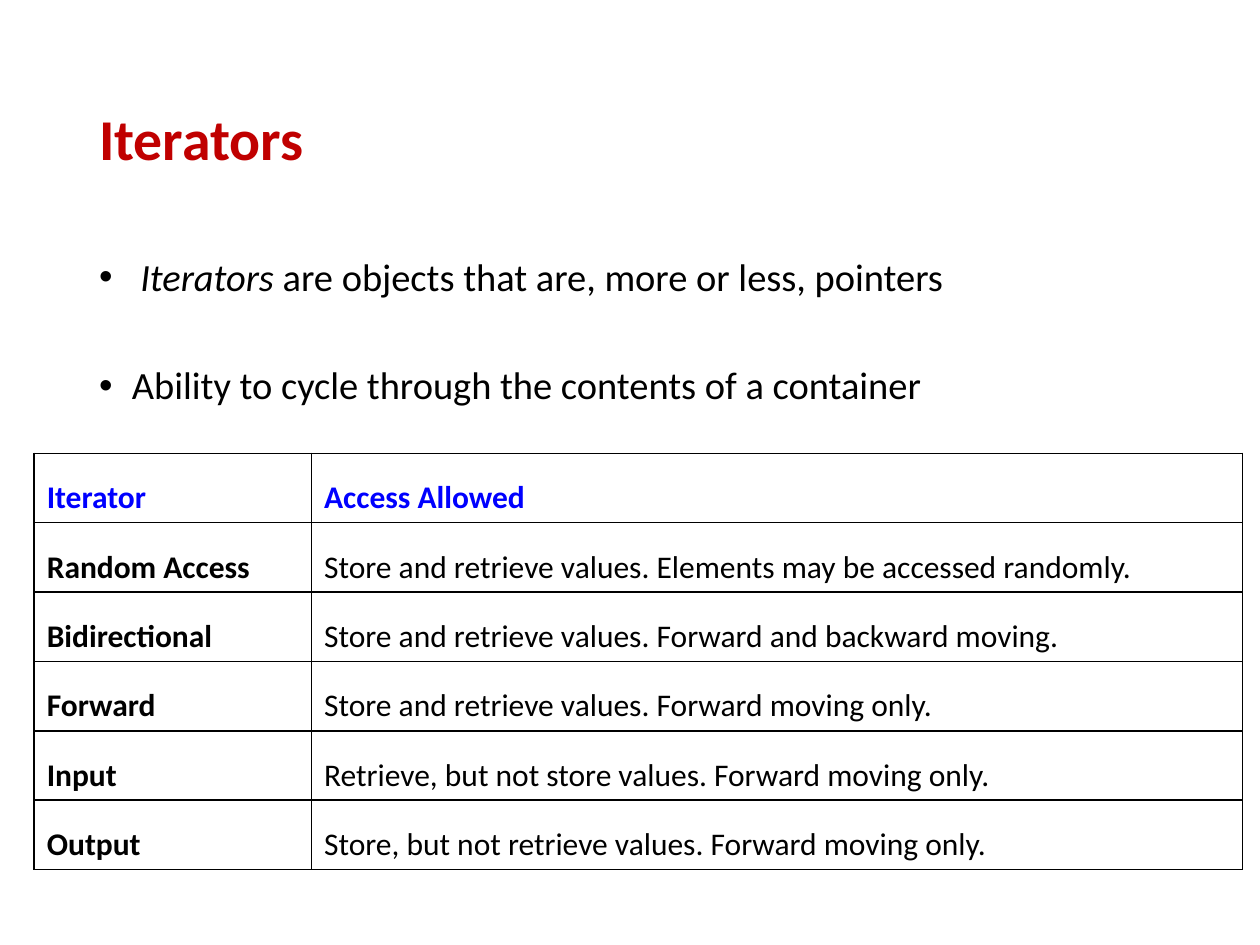
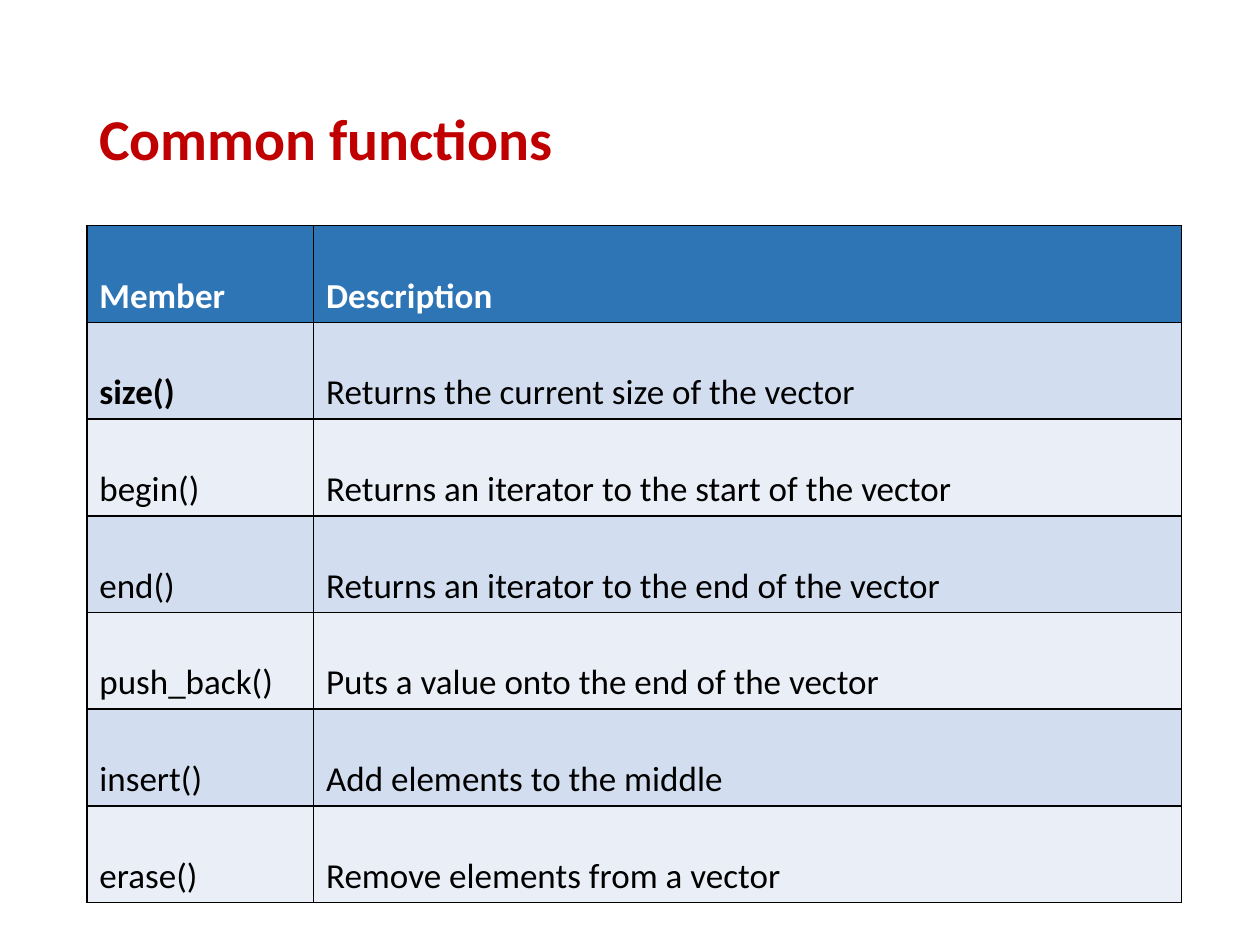
"""Build two slides on C++ iterators and the common functions of vectors."""

from dataclasses import dataclass
from typing import Any

from lxml import etree
from pptx import Presentation
from pptx.dml.color import RGBColor
from pptx.enum.text import MSO_ANCHOR
from pptx.oxml.ns import qn
from pptx.util import Cm, Pt

MIDDLE = MSO_ANCHOR.MIDDLE
TOP = MSO_ANCHOR.TOP

BLACK = RGBColor(0x00, 0x00, 0x00)
WHITE = RGBColor(0xFF, 0xFF, 0xFF)
TITLE_RED = RGBColor(0xC0, 0x00, 0x00)
HEADER_TEXT_BLUE = RGBColor(0x00, 0x00, 0xFF)
HEADER_FILL_BLUE = RGBColor(0x2E, 0x75, 0xB6)
BAND_DARK = RGBColor(0xD2, 0xDE, 0xEF)
BAND_LIGHT = RGBColor(0xEA, 0xEF, 0xF7)

FONT = "Calibri"
TITLE_FORMAT = {"name": FONT, "size": Pt(33), "bold": True}
BODY_FORMAT = {"name": FONT, "size": Pt(22), "bold": False}
CONTENT_LEFT = Cm(1.75)
CONTENT_WIDTH = Cm(21.89)
PLACEHOLDER_HEIGHT = Cm(3.68)
BORDER_WIDTH = Pt(1)
BORDER_TAGS = ("a:lnL", "a:lnR", "a:lnT", "a:lnB")


@dataclass(frozen=True)
class Bullet:
    """A bulleted line: its text, the italic lead, indent and space before."""

    text: str
    indent: int
    italic_lead: str = ""
    space_before: int = 0


@dataclass(frozen=True)
class TableDesign:
    """A two-column table, with its rows and their look."""

    left: int
    top: int
    column_widths: tuple[int, int]
    row_height: int
    font_size: int
    line_spacing: float
    header_color: RGBColor
    header_fill: RGBColor | None
    bands: tuple[RGBColor | None, ...]
    bold_labels: int
    rows: tuple[tuple[str, str], ...]


ITERATOR_BULLETS = (
    Bullet("are objects that are, more or less, pointers", Cm(0.83), "Iterators "),
    Bullet("Ability to cycle through the contents of a container", Cm(0.66), space_before=Pt(38)),
)

ITERATOR_TABLE = TableDesign(
    left=Cm(0.69),
    top=Cm(9.14),
    column_widths=(Cm(5.59), Cm(18.77)),
    row_height=Cm(1.28),
    font_size=Pt(18),
    line_spacing=1.5,
    header_color=HEADER_TEXT_BLUE,
    header_fill=None,
    bands=(None,),
    bold_labels=5,
    rows=(
        ("Iterator", "Access Allowed"),
        ("Random Access", "Store and retrieve values. Elements may be accessed randomly."),
        ("Bidirectional", "Store and retrieve values. Forward and backward moving."),
        ("Forward", "Store and retrieve values. Forward moving only."),
        ("Input", "Retrieve, but not store values. Forward moving only."),
        ("Output", "Store, but not retrieve values. Forward moving only."),
    ),
)

FUNCTION_TABLE = TableDesign(
    left=CONTENT_LEFT,
    top=Cm(4.55),
    column_widths=(Cm(4.57), Cm(17.5)),
    row_height=Cm(1.71),
    font_size=Pt(20),
    line_spacing=2.0,
    header_color=WHITE,
    header_fill=HEADER_FILL_BLUE,
    bands=(BAND_DARK, BAND_LIGHT),
    bold_labels=1,
    rows=(
        ("Member", "Description"),
        ("size()", "Returns the current size of the vector"),
        ("begin()", "Returns an iterator to the start of the vector"),
        ("end()", "Returns an iterator to the end of the vector"),
        ("push_back()", "Puts a value onto the end of the vector"),
        ("insert()", "Add elements to the middle"),
        ("erase()", "Remove elements from a vector"),
    ),
)


def add_run(paragraph: Any, text: str, color: RGBColor, font_format: dict[str, Any]) -> None:
    """Append a run with the given colour and font values."""
    run = paragraph.add_run()
    run.text = text
    for attribute, value in font_format.items():
        setattr(run.font, attribute, value)
    run.font.color.rgb = color


def add_content_frame(slide: Any, top: int, anchor: MSO_ANCHOR) -> Any:
    """Add a wrapping text box across the content width."""
    shape = slide.shapes.add_textbox(CONTENT_LEFT, top, CONTENT_WIDTH, PLACEHOLDER_HEIGHT)
    shape.text_frame.word_wrap = True
    shape.text_frame.vertical_anchor = anchor
    return shape.text_frame


def add_titled_slide(presentation: Any, title: str) -> Any:
    """Add a blank slide with the shared title style."""
    slide = presentation.slides.add_slide(presentation.slide_layouts[6])
    paragraph = add_content_frame(slide, Cm(1.02), MIDDLE).paragraphs[0]
    paragraph.line_spacing = 0.9
    add_run(paragraph, title, TITLE_RED, TITLE_FORMAT)
    return slide


def add_bullets(slide: Any, bullets: tuple[Bullet, ...]) -> None:
    """Add the bulleted lines below the title."""
    frame = add_content_frame(slide, Cm(5.08), TOP)
    for index, bullet in enumerate(bullets):
        paragraph = frame.add_paragraph() if index else frame.paragraphs[0]
        properties = paragraph._p.get_or_add_pPr()
        properties.set("marL", str(bullet.indent))
        properties.set("indent", str(-bullet.indent))
        etree.SubElement(properties, qn("a:buFont"), typeface="Arial")
        etree.SubElement(properties, qn("a:buChar"), char="•")
        paragraph.line_spacing = 0.9
        if bullet.space_before:
            paragraph.space_before = bullet.space_before
        if bullet.italic_lead:
            add_run(paragraph, bullet.italic_lead, BLACK, BODY_FORMAT | {"italic": True})
        add_run(paragraph, bullet.text, BLACK, BODY_FORMAT)


def style_cell(cell: Any, fill_color: RGBColor | None) -> None:
    """Give a cell black borders and its fill."""
    properties = cell._tc.get_or_add_tcPr()
    for tag in BORDER_TAGS:
        line = etree.SubElement(properties, qn(tag), w=str(BORDER_WIDTH))
        fill = etree.SubElement(line, qn("a:solidFill"))
        etree.SubElement(fill, qn("a:srgbClr"), val=str(BLACK))
    if fill_color is None:
        cell.fill.background()
    else:
        cell.fill.solid()
        cell.fill.fore_color.rgb = fill_color
    cell.vertical_anchor = MIDDLE


def add_design_table(slide: Any, design: TableDesign) -> None:
    """Draw a table from its design."""
    row_count = len(design.rows)
    table = slide.shapes.add_table(
        row_count, len(design.column_widths), design.left, design.top,
        sum(design.column_widths), row_count * design.row_height,
    ).table
    table.first_row = False
    table.horz_banding = False
    for column, width in zip(table.columns, design.column_widths):
        column.width = width
    for row_index, texts in enumerate(design.rows):
        is_header = row_index == 0
        band = design.bands[(row_index - 1) % len(design.bands)]
        for column_index, text in enumerate(texts):
            cell = table.cell(row_index, column_index)
            style_cell(cell, design.header_fill if is_header else band)
            bold_label = column_index == 0 and row_index <= design.bold_labels
            font_format = {"name": FONT, "size": design.font_size, "bold": is_header or bold_label}
            paragraph = cell.text_frame.paragraphs[0]
            paragraph.line_spacing = design.line_spacing
            add_run(paragraph, text, design.header_color if is_header else BLACK, font_format)


def main() -> None:
    """Build and save the presentation."""
    presentation = Presentation()
    presentation.slide_width = Cm(25.4)
    presentation.slide_height = Cm(19.05)

    iterator_slide = add_titled_slide(presentation, "Iterators")
    add_bullets(iterator_slide, ITERATOR_BULLETS)
    add_design_table(iterator_slide, ITERATOR_TABLE)

    function_slide = add_titled_slide(presentation, "Common functions")
    add_design_table(function_slide, FUNCTION_TABLE)

    presentation.save("out.pptx")


if __name__ == "__main__":
    main()
